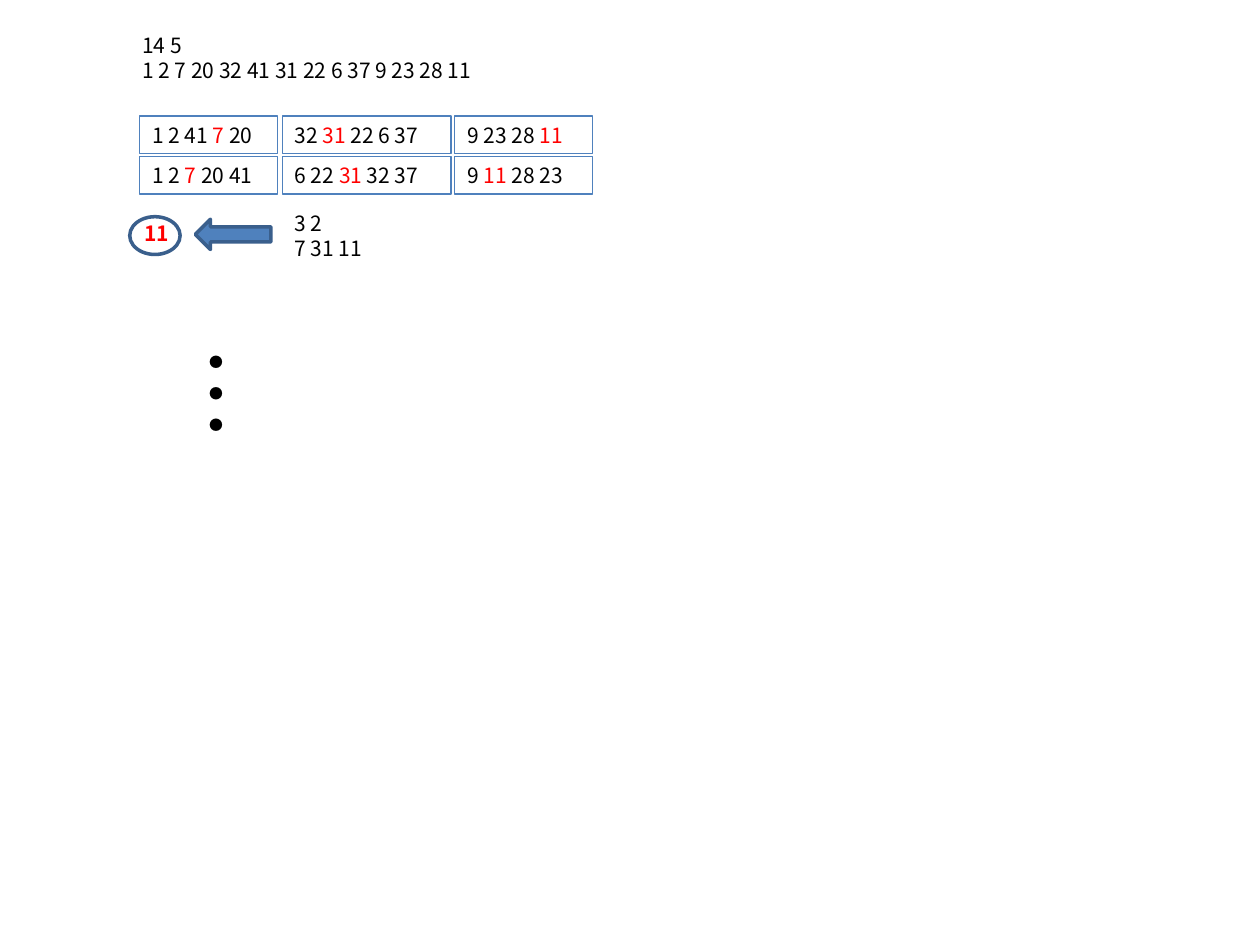
from lxml.etree import SubElement
from pptx import Presentation
from pptx.dml.color import RGBColor
from pptx.enum.shapes import MSO_SHAPE
from pptx.enum.text import MSO_ANCHOR, MSO_AUTO_SIZE, PP_ALIGN
from pptx.oxml.ns import qn
from pptx.util import Inches, Pt

FONT = "Noto Sans CJK KR"
BLACK, RED, BLUE, DARK_BLUE = "000000", "FF0000", "4F81BD", "3A5F8C"


def color(value):
    return RGBColor.from_string(value)


def write(shape, lines, size=12, bold=False):
    frame = shape.text_frame
    frame.word_wrap = False
    frame.auto_size = MSO_AUTO_SIZE.SHAPE_TO_FIT_TEXT
    frame.vertical_anchor = MSO_ANCHOR.TOP
    for index, line in enumerate(lines):
        paragraph = frame.add_paragraph() if index else frame.paragraphs[0]
        paragraph.alignment = PP_ALIGN.LEFT
        paragraph.font.size = Pt(size)
        paragraph.font.bold = bold
        for text, text_color in line:
            run = paragraph.add_run()
            run.text = text
            run.font.size = Pt(size)
            run.font.bold = bold
            run.font.color.rgb = color(text_color)
            run.font.name = FONT
            SubElement(run.font._element, qn("a:ea"), typeface=FONT)


def add_text(slide, box, lines, text_color=BLACK, size=12, bold=False):
    shape = slide.shapes.add_textbox(*map(Inches, box))
    write(shape, [[(line, text_color)] for line in lines], size, bold)
    return shape


def add_outline(slide, kind, box, line_color, line_width, fill=None):
    shape = slide.shapes.add_shape(kind, *map(Inches, box))
    shape.shadow.inherit = False
    if fill:
        shape.fill.solid()
        shape.fill.fore_color.rgb = color(fill)
    else:
        shape.fill.background()
    shape.line.color.rgb = color(line_color)
    shape.line.width = Pt(line_width)
    return shape


def add_groups(slide, left, top):
    rows = [
        [("1 2 41 ", "7", " 20"), ("32 ", "31", " 22 6 37 "), ("9 23 28 ", "11 ", "")],
        [("1 2 ", "7", " 20 41"), ("6 22 ", "31", " 32 37 "), ("9 ", "11", " 28 23 ")],
    ]
    columns = [(0, 1.09), (1.13, 1.34), (2.5, 1.09)]
    for row_index, row in enumerate(rows):
        for (offset, width), parts in zip(columns, row):
            box = (left + offset, top + 0.32 * row_index, width, 0.3)
            cell = add_outline(slide, MSO_SHAPE.RECTANGLE, box, BLUE, 0.75)
            runs = [run for run in zip(parts, (BLACK, RED, BLACK)) if run[0]]
            write(cell, [runs])


def add_result(slide, left, top):
    add_text(slide, (left + 1.21, top, 0.79, 0.5), ["3 2", "7 31 11"])
    arrow_box = (left + 0.52, top + 0.12, 0.6, 0.24)
    arrow = add_outline(slide, MSO_SHAPE.RIGHT_ARROW, arrow_box, DARK_BLUE, 2, BLUE)
    arrow.rotation = 180
    add_text(slide, (left + 0.02, top + 0.08, 0.4, 0.3), ["11"], RED, bold=True)
    add_outline(slide, MSO_SHAPE.OVAL, (left, top + 0.1, 0.4, 0.3), DARK_BLUE, 2)


def add_continuation(slide, left, top):
    dots = add_text(slide, (left, top, 1.11, 0.66), ["…"], size=54)
    dots.text_frame._txBody.bodyPr.set("vert", "eaVert")


presentation = Presentation()
presentation.slide_width = Inches(10)
presentation.slide_height = Inches(7.5)
slide = presentation.slides.add_slide(presentation.slide_layouts[6])
add_text(slide, (1.03, 0.21, 3.29, 0.5), ["14 5", "1 2 7 20 32 41 31 22 6 37 9 23 28 11 "])
add_groups(slide, 1.11, 0.92)
add_result(slide, 1.03, 1.62)
add_continuation(slide, 1.12, 2.65)
presentation.save("out.pptx")
